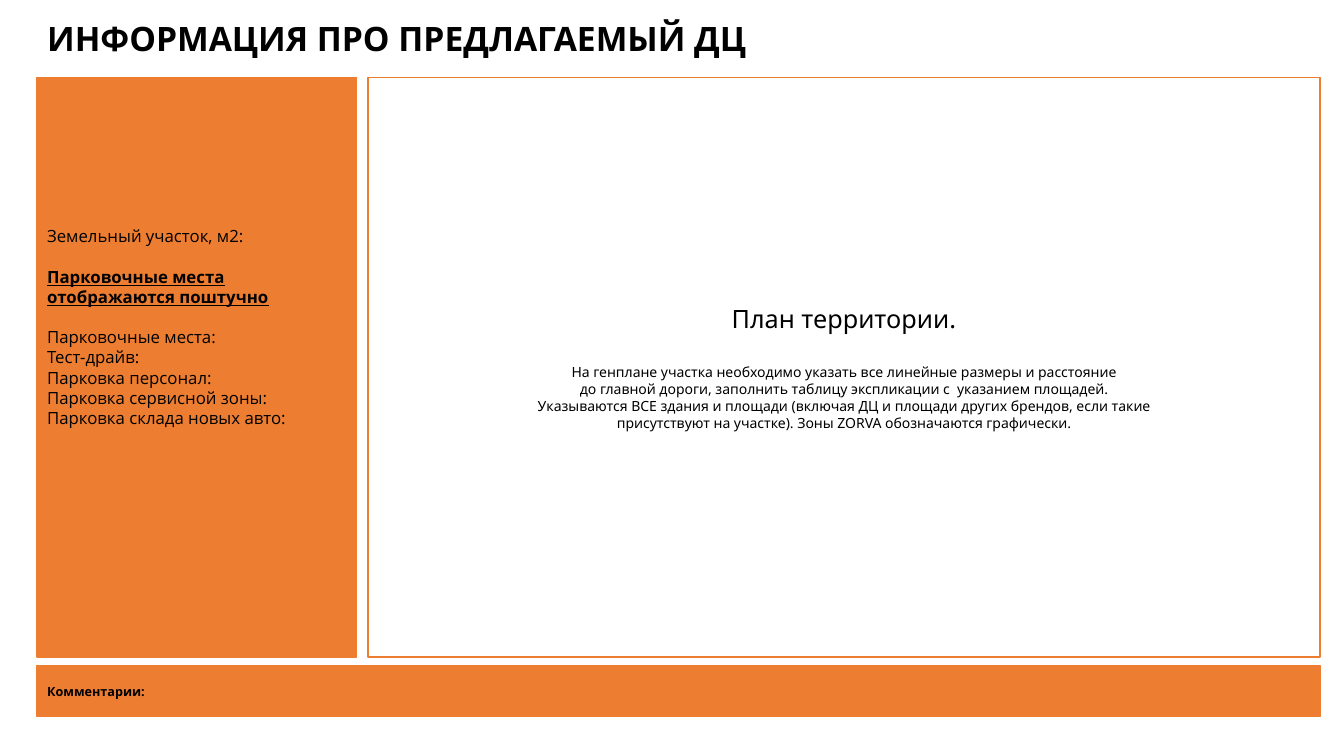
from pptx import Presentation
from pptx.dml.color import RGBColor
from pptx.enum.shapes import MSO_SHAPE
from pptx.enum.text import MSO_ANCHOR, PP_ALIGN
from pptx.util import Pt

COLOURS = {"orange": "ED7D31", "black": "000000"}

TITLE = ["ИНФОРМАЦИЯ ПРО ПРЕДЛАГАЕМЫЙ ДЦ"]
SITE = ["Земельный участок, м2:"]
PARKING_NOTE = ["Парковочные места", "отображаются поштучно"]
PARKING = [
    "Парковочные места:",
    "Тест-драйв:",
    "Парковка персонал:",
    "Парковка сервисной зоны:",
    "Парковка склада новых авто:",
]
PLAN = ["План территории."]
PLAN_NOTE = [
    "На генплане участка необходимо указать все линейные размеры и расстояние",
    "до главной дороги, заполнить таблицу экспликации с  указанием площадей.",
    "Указываются ВСЕ здания и площади (включая ДЦ и площади других брендов, если такие",
    "присутствуют на участке). Зоны ZORVA обозначаются графически.",
]
COMMENTS = ["Комментарии:"]

FORMATS = {
    "title": {"name": "Open Sans", "size": Pt(24), "bold": True},
    "label": {"name": "Open Sans", "size": Pt(12), "bold": False},
    "note": {"name": "Open Sans", "size": Pt(12), "bold": True, "underline": True},
    "plan": {"name": "Noto Sans", "size": Pt(18), "bold": False},
    "plan note": {"name": "Noto Sans", "size": Pt(10), "bold": False},
    "comments": {"name": "Noto Sans", "size": Pt(9), "bold": True},
}

WIDTH, HEIGHT = 960, 540
LEFT, RIGHT = 26.6, 942.8
PANEL_TOP, PANEL_HEIGHT = 55.4, 414
SIDE_WIDTH, GAP = 228.2, 8
PLAN_LEFT = LEFT + SIDE_WIDTH + GAP
LABEL_LINE, PLAN_LINE = 14.4, 21.5


def colour(name):
    """Return the named colour."""
    return RGBColor.from_string(COLOURS[name])


def write(box, groups, align=PP_ALIGN.LEFT, anchor=MSO_ANCHOR.MIDDLE, bottom=3.6):
    """Write groups of lines, each with its format and the space above it."""
    frame = box.text_frame
    settings = {"word_wrap": True, "vertical_anchor": anchor, "margin_bottom": Pt(bottom)}
    for key, value in settings.items():
        setattr(frame, key, value)
    para = None
    for lines, style, space in groups:
        for index, line in enumerate(lines):
            para = frame.add_paragraph() if para else frame.paragraphs[0]
            para.alignment = align
            if space and index == 0:
                para.space_before = Pt(space)
            span = para.add_run()
            span.text = line
            for key, value in FORMATS[style].items():
                setattr(span.font, key, value)
            span.font.color.rgb = colour("black")


def add_panel(page, left, top, width, height, filled=True):
    """Add an orange-edged rectangle, filled or hollow."""
    box = page.shapes.add_shape(
        MSO_SHAPE.RECTANGLE, Pt(left), Pt(top), Pt(width), Pt(height)
    )
    box.shadow.inherit = False
    if filled:
        box.fill.solid()
        box.fill.fore_color.rgb = colour("orange")
    else:
        box.fill.background()
    box.line.color.rgb = colour("orange")
    box.line.width = Pt(1)
    return box


def main():
    """Build the slide and save it."""
    deck = Presentation()
    deck.slide_width, deck.slide_height = Pt(WIDTH), Pt(HEIGHT)
    page = deck.slides.add_slide(deck.slide_layouts[6])

    title = page.shapes.add_textbox(Pt(LEFT), Pt(9.4), Pt(RIGHT - LEFT), Pt(36))
    write(title, [(TITLE, "title", 0)], anchor=MSO_ANCHOR.TOP)

    side = add_panel(page, LEFT, PANEL_TOP, SIDE_WIDTH, PANEL_HEIGHT)
    side_groups = [
        (SITE, "label", 0),
        (PARKING_NOTE, "note", LABEL_LINE),
        (PARKING, "label", LABEL_LINE),
    ]
    write(side, side_groups, bottom=3.6 + 4 * LABEL_LINE)

    plan = add_panel(page, PLAN_LEFT, PANEL_TOP, RIGHT - PLAN_LEFT, PANEL_HEIGHT, False)
    plan_groups = [(PLAN, "plan", 0), (PLAN_NOTE, "plan note", PLAN_LINE)]
    write(plan, plan_groups, PP_ALIGN.CENTER)

    comments = add_panel(page, LEFT, 475.2, RIGHT - LEFT, 36.7)
    write(comments, [(COMMENTS, "comments", 0)], PP_ALIGN.JUSTIFY)

    deck.save("out.pptx")


if __name__ == "__main__":
    main()
